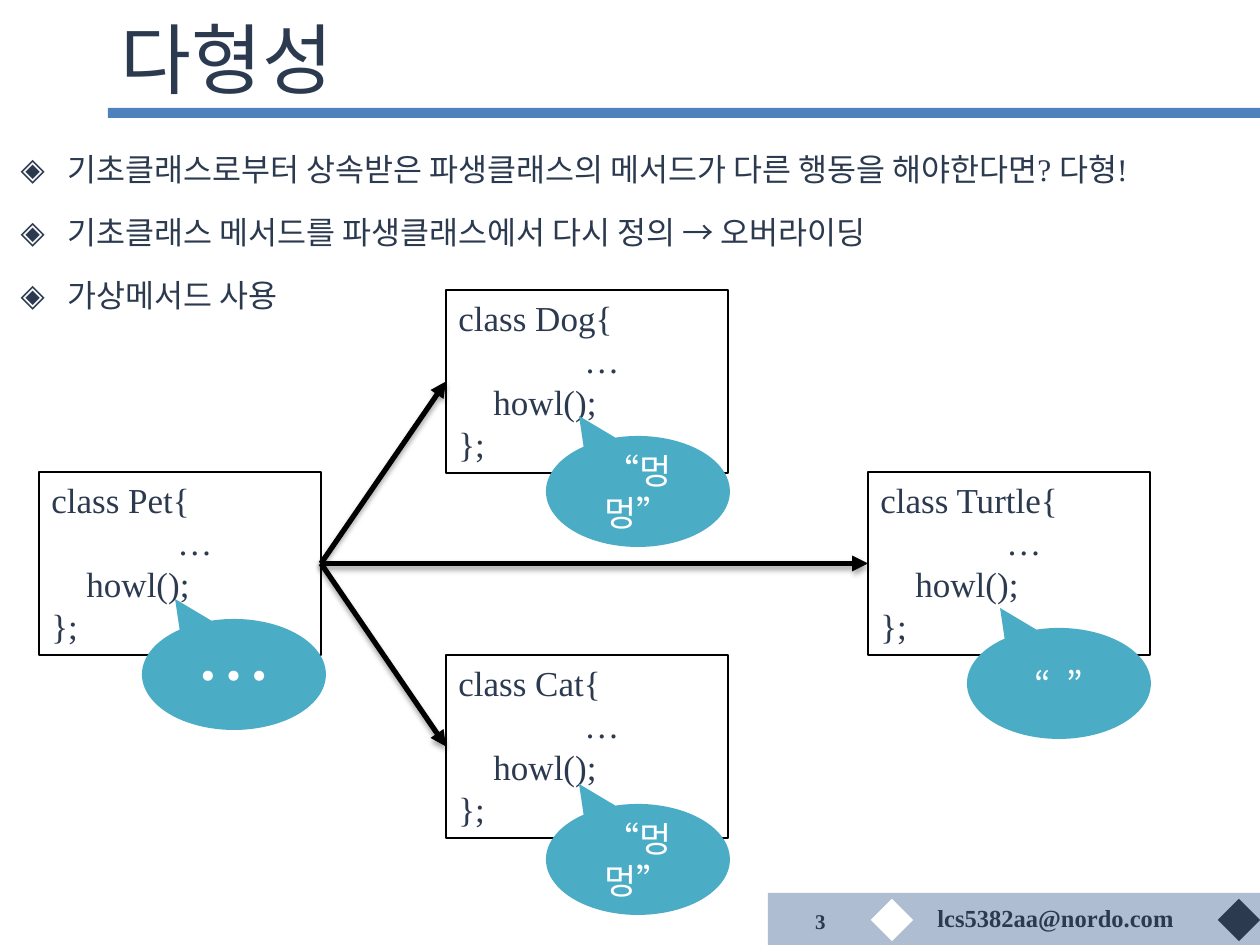
from lxml.etree import SubElement
from pptx import Presentation
from pptx.dml.color import RGBColor
from pptx.enum.shapes import MSO_CONNECTOR, MSO_SHAPE
from pptx.enum.text import MSO_ANCHOR, MSO_AUTO_SIZE, PP_ALIGN
from pptx.oxml import parse_xml
from pptx.oxml.ns import nsdecls, qn
from pptx.util import Emu, Pt

PX = 914400 // 126
THEME = {
    "ink": "2C3A50", "bar": "4F81BD", "band": "788FB4", "bubble": "4BACC6",
    "white": "FFFFFF", "black": "000000",
    "latin": "Times New Roman", "hangul": "Noto Sans CJK KR",
    "title": 44, "list": 18, "code": 20, "mail": 14, "page": 12, "dots": 44,
}


def add_box(kind, at, fill=None, line=None):
    shape = slide.shapes.add_shape(kind, *[Emu(n * PX) for n in at])
    shape.shadow.inherit = False
    if fill:
        shape.fill.solid()
        shape.fill.fore_color.rgb = RGBColor.from_string(THEME[fill])
    else:
        shape.fill.background()
    if line:
        shape.line.color.rgb = RGBColor.from_string(THEME[line])
        shape.line.width = Pt(0.75)
    else:
        shape.line.fill.background()
    return shape


def write(shape, lines, size, color="ink", font="latin", align=PP_ALIGN.LEFT,
          anchor=MSO_ANCHOR.TOP, bold=False):
    frame = shape.text_frame
    frame.text = "\n".join(lines)
    frame.word_wrap = True
    frame.auto_size = MSO_AUTO_SIZE.NONE
    frame.vertical_anchor = anchor
    for par in frame.paragraphs:
        par.alignment = align
        par.font.size = Pt(THEME[size])
        par.font.name = THEME[font]
        par.font.bold = bold
        par.font.color.rgb = RGBColor.from_string(THEME[color])
    return frame


deck = Presentation()
deck.slide_width, deck.slide_height = Emu(1260 * PX), Emu(945 * PX)
slide = deck.slides.add_slide(deck.slide_layouts[1])

# Title rule and footer
add_box(MSO_SHAPE.RECTANGLE, (108, 108, 1152, 10), "bar")
band = add_box(MSO_SHAPE.RECTANGLE, (768, 893, 492, 52), "band")
tint = band.fill._xPr.find(qn("a:solidFill"))[0]
SubElement(tint, qn("a:alpha"), val="59000")
for left, fill in ((1224, "ink"), (877, "white")):
    add_box(MSO_SHAPE.RECTANGLE, (left, 905, 30, 30), fill).rotation = 45

mail = slide.shapes.add_textbox(*[Emu(n * PX) for n in (925, 897, 258, 43)])
write(mail, ["lcs5382aa@nordo.com"], "mail", bold=True).word_wrap = False
page = slide.shapes.add_textbox(*[Emu(n * PX) for n in (779, 900, 59, 43)])
write(page, ["3"], "page", align=PP_ALIGN.RIGHT, anchor=MSO_ANCHOR.MIDDLE, bold=True)

# Title and list
title, body = slide.placeholders
for holder, at in ((title, (108, 9, 1129, 97)), (body, (8, 125, 1246, 764))):
    holder.left, holder.top, holder.width, holder.height = [Emu(n * PX) for n in at]
write(title, ["다형성"], "title", anchor=MSO_ANCHOR.MIDDLE)
points = write(body, [
    "기초클래스로부터 상속받은 파생클래스의 메서드가 다른 행동을 해야한다면? 다형!",
    "기초클래스 메서드를 파생클래스에서 다시 정의 → 오버라이딩",
    "가상메서드 사용",
], "list")
for par in points.paragraphs:
    par.line_spacing = 1.5
    par.space_before = Pt(3.6)
    props = par._p.get_or_add_pPr()
    props.set("marL", str(47 * PX))
    props.set("indent", str(-47 * PX))
    bullet = parse_xml(f'<a:buChar {nsdecls("a")} char="◈"/>')
    props.insert_element_before(bullet, "a:tabLst", "a:defRPr", "a:extLst")

# Class boxes
boxes = {}
for name, left, top in (("Pet", 39, 472), ("Dog", 446, 290),
                        ("Cat", 446, 655), ("Turtle", 868, 472)):
    box = add_box(MSO_SHAPE.RECTANGLE, (left, top, 282, 183), line="black")
    code = write(box, [f"class {name}{{", "…", "howl();", "};"], "code")
    for row, indent in ((1, 126), (2, 35)):
        code.paragraphs[row]._p.get_or_add_pPr().set("marL", str(indent * PX))
    boxes[name] = box

# Howls
for left, top, howl, size in ((142, 619, "…", "dots"), (967, 628, "“  ”", "code"),
                              (546, 804, "“멍멍”", "code"), (546, 436, "“멍멍”", "code")):
    bubble = add_box(MSO_SHAPE.OVAL_CALLOUT, (left, top, 184, 111), "bubble")
    bubble.adjustments[0], bubble.adjustments[1] = -0.32, -0.68
    write(bubble, [howl], size, "white", "hangul", PP_ALIGN.CENTER, MSO_ANCHOR.MIDDLE)

# Inheritance arrows
for name in ("Dog", "Cat", "Turtle"):
    arrow = slide.shapes.add_connector(MSO_CONNECTOR.STRAIGHT, 0, 0, 0, 0)
    arrow.begin_connect(boxes["Pet"], 3)
    arrow.end_connect(boxes[name], 1)
    arrow.line.width = Pt(3)
    arrow.line.color.rgb = RGBColor.from_string(THEME["black"])
    SubElement(arrow.line._get_or_add_ln(), qn("a:tailEnd"), type="triangle")
    effects = SubElement(arrow._element.spPr, qn("a:effectLst"))
    shadow = SubElement(effects, qn("a:outerShdw"), blurRad=str(Pt(3.1)),
                        dist=str(Pt(1.8)), dir="5400000", rotWithShape="0")
    shade = SubElement(shadow, qn("a:srgbClr"), val=THEME["black"])
    SubElement(shade, qn("a:alpha"), val="35000")

deck.save("out.pptx")
